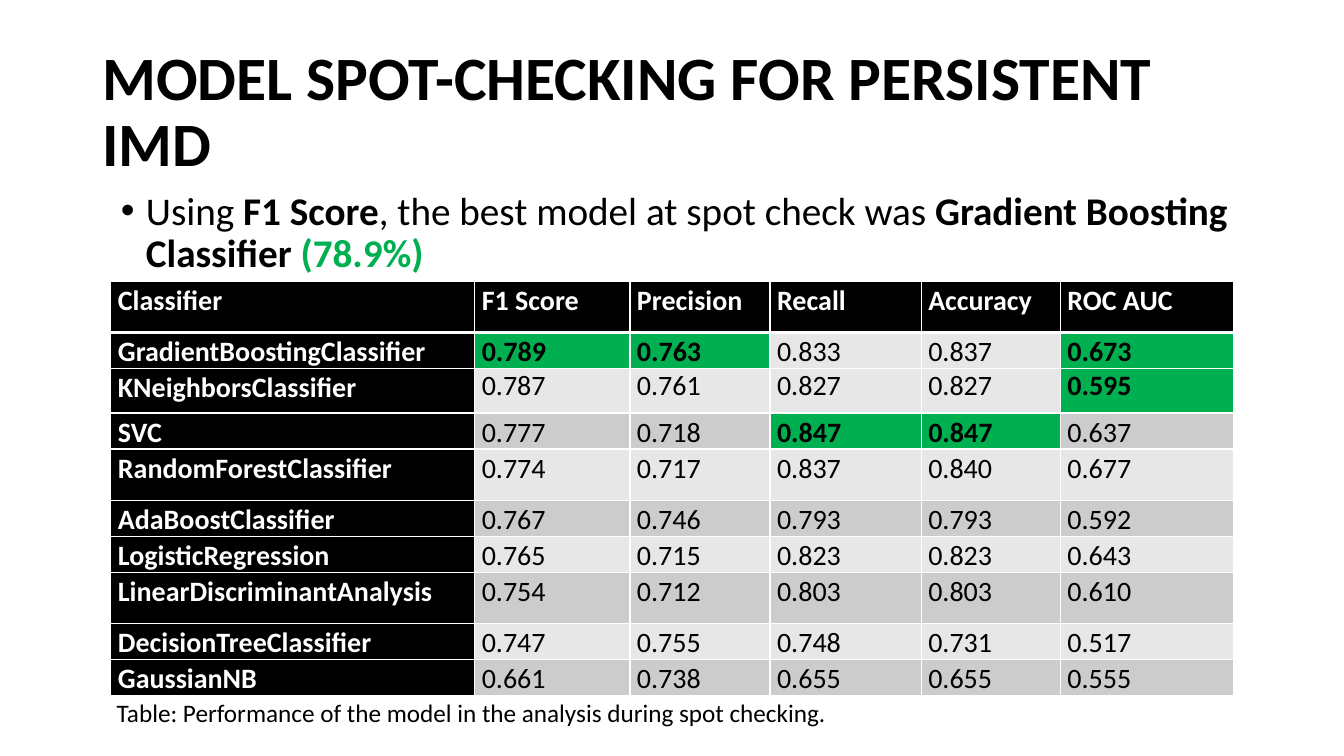
from dataclasses import dataclass
from lxml.etree import SubElement
from pptx import Presentation
from pptx.dml.color import RGBColor
from pptx.enum.text import MSO_ANCHOR, PP_ALIGN
from pptx.oxml.ns import qn
from pptx.util import Pt


@dataclass(frozen=True)
class Theme:
    font: str = "Calibri"
    black: str = "000000"
    white: str = "FFFFFF"
    green: str = "00B050"
    light: str = "E7E7E7"
    dark: str = "CCCCCC"
    title: int = 44
    body: int = 28
    cell: int = 20
    note: int = 18


@dataclass(frozen=True)
class Span:
    text: str
    bold: bool = False
    color: str = Theme.black


@dataclass(frozen=True)
class Model:
    name: str
    scores: str
    height: float
    tone: str
    best: tuple = ()
    space: float = 1.07


THEME = Theme()
LOW, HIGH = 24.48, 36.72
HEADS = ["Classifier", "F1 Score", "Precision", "Recall", "Accuracy", "ROC AUC"]
WIDTHS = [259.92, 110.88, 100.08, 108, 99.36, 123.84]
MODELS = [
    Model("GradientBoostingClassifier", "0.789 0.763 0.833 0.837 0.673", LOW, THEME.light, (1, 2, 5)),
    Model("KNeighborsClassifier", "0.787 0.761 0.827 0.827 0.595", 31.68, THEME.light, (5,), 1.0),
    Model("SVC", "0.777 0.718 0.847 0.847 0.637", LOW, THEME.dark, (3, 4)),
    Model("RandomForestClassifier", "0.774 0.717 0.837 0.840 0.677", HIGH, THEME.light),
    Model("AdaBoostClassifier", "0.767 0.746 0.793 0.793 0.592", LOW, THEME.dark),
    Model("LogisticRegression", "0.765 0.715 0.823 0.823 0.643", LOW, THEME.light),
    Model("LinearDiscriminantAnalysis", "0.754 0.712 0.803 0.803 0.610", HIGH, THEME.dark),
    Model("DecisionTreeClassifier", "0.747 0.755 0.748 0.731 0.517", LOW, THEME.light),
    Model("GaussianNB", "0.661 0.738 0.655 0.655 0.555", LOW, THEME.dark),
]
CLAIM = [
    Span("Using "),
    Span("F1 Score", True),
    Span(", the best model at spot check was "),
    Span("Gradient Boosting Classifier ", True),
    Span("(78.9%)", True, THEME.green),
]
NOTE = [Span("Table: Performance of the model in the analysis during spot checking.")]


def style(para, size: float, color: str, bold: bool = False, space: float = 1.0) -> None:
    para.line_spacing = space
    font = para.font
    font.name, font.size, font.bold = THEME.font, Pt(size), bold
    font.color.rgb = RGBColor.from_string(color)


def place(shape, left: float, top: float, width: float, height: float) -> None:
    shape.left, shape.top, shape.width, shape.height = map(Pt, (left, top, width, height))


def add_title(slide, text: str) -> None:
    shape = slide.shapes.title
    place(shape, 66, 28.8, 828, 104.4)
    frame = shape.text_frame
    frame.text = text
    frame.word_wrap = True
    frame.vertical_anchor = MSO_ANCHOR.MIDDLE
    para = frame.paragraphs[0]
    para.alignment = PP_ALIGN.LEFT
    style(para, THEME.title, THEME.black, True, 0.9)


def add_text(slide, box: tuple, spans: list[Span], size: float,
             space: float = 1.0, bullet: bool = False) -> None:
    frame = slide.shapes.add_textbox(*map(Pt, box)).text_frame
    frame.word_wrap = True
    para = frame.paragraphs[0]
    if bullet:
        props = para._p.get_or_add_pPr()
        props.set("marL", str(Pt(18)))
        props.set("indent", str(-Pt(18)))
        SubElement(props, qn("a:buFont"), typeface="Arial")
        SubElement(props, qn("a:buChar"), char="•")
    style(para, size, THEME.black, space=space)
    for span in spans:
        run = para.add_run()
        run.text = span.text
        run.font.bold = span.bold
        run.font.color.rgb = RGBColor.from_string(span.color)


def edge(cell, tag: str, width: float) -> None:
    line = SubElement(cell._tc.get_or_add_tcPr(), qn(f"a:{tag}"), w=str(Pt(width)))
    fill = SubElement(line, qn("a:solidFill"))
    SubElement(fill, qn("a:srgbClr"), val=THEME.white)


def fill_cell(cell, text: str, fill: str, color: str, bold: bool,
              space: float, top: float, base: float) -> None:
    cell.text = text
    cell.margin_left = cell.margin_right = Pt(5.04)
    cell.margin_top = cell.margin_bottom = Pt(0)
    for tag, width in (("lnL", 1), ("lnR", 1), ("lnT", top), ("lnB", base)):
        edge(cell, tag, width)
    cell.fill.solid()
    cell.fill.fore_color.rgb = RGBColor.from_string(fill)
    style(cell.text_frame.paragraphs[0], THEME.cell, color, bold, space)


def add_grid(slide, left: float, top: float) -> None:
    tall = HIGH + sum(model.height for model in MODELS)
    grid = slide.shapes.add_table(len(MODELS) + 1, len(HEADS), Pt(left), Pt(top),
                                  Pt(sum(WIDTHS)), Pt(tall)).table
    for col, width in enumerate(WIDTHS):
        grid.columns[col].width = Pt(width)
    grid.rows[0].height = Pt(HIGH)
    for col, head in enumerate(HEADS):
        fill_cell(grid.cell(0, col), head, THEME.black, THEME.white, True, 1.07, 1, 3)
    for row, model in enumerate(MODELS, 1):
        grid.rows[row].height = Pt(model.height)
        top_line = 3 if row == 1 else 1
        fill_cell(grid.cell(row, 0), model.name, THEME.black, THEME.white,
                  True, 1.07, top_line, 1)
        for col, score in enumerate(model.scores.split(), 1):
            best = col in model.best
            fill_cell(grid.cell(row, col), score, THEME.green if best else model.tone,
                      THEME.black, best, model.space, top_line, 1)


def main() -> None:
    deck = Presentation()
    deck.slide_width, deck.slide_height = Pt(960), Pt(540)
    slide = deck.slides.add_slide(deck.slide_layouts[5])
    add_title(slide, "MODEL SPOT-CHECKING FOR PERSISTENT IMD")
    add_text(slide, (79.2, 133.2, 837.36, 67.68), CLAIM, THEME.body, 0.9, True)
    add_text(slide, (76.32, 494.64, 868.32, 28.8), NOTE, THEME.note)
    add_grid(slide, 79.2, 200.88)
    deck.save("out.pptx")


if __name__ == "__main__":
    main()
